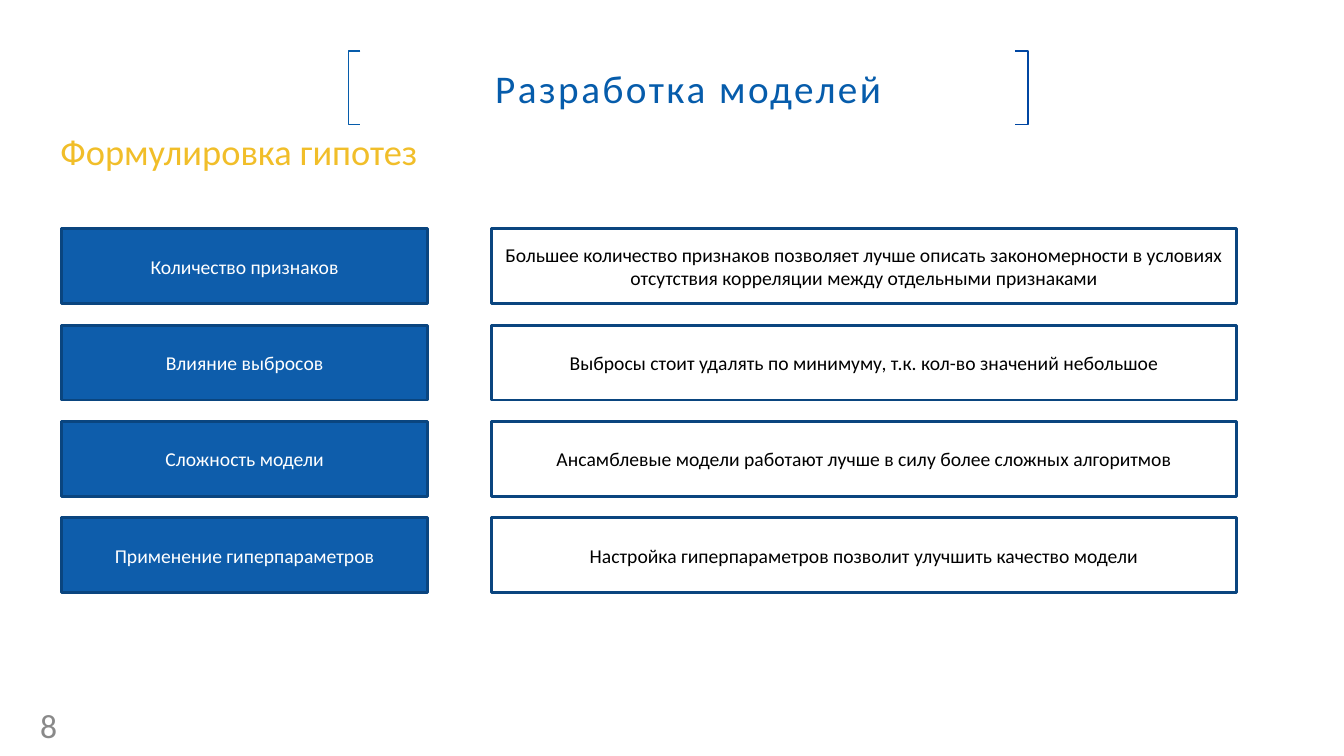
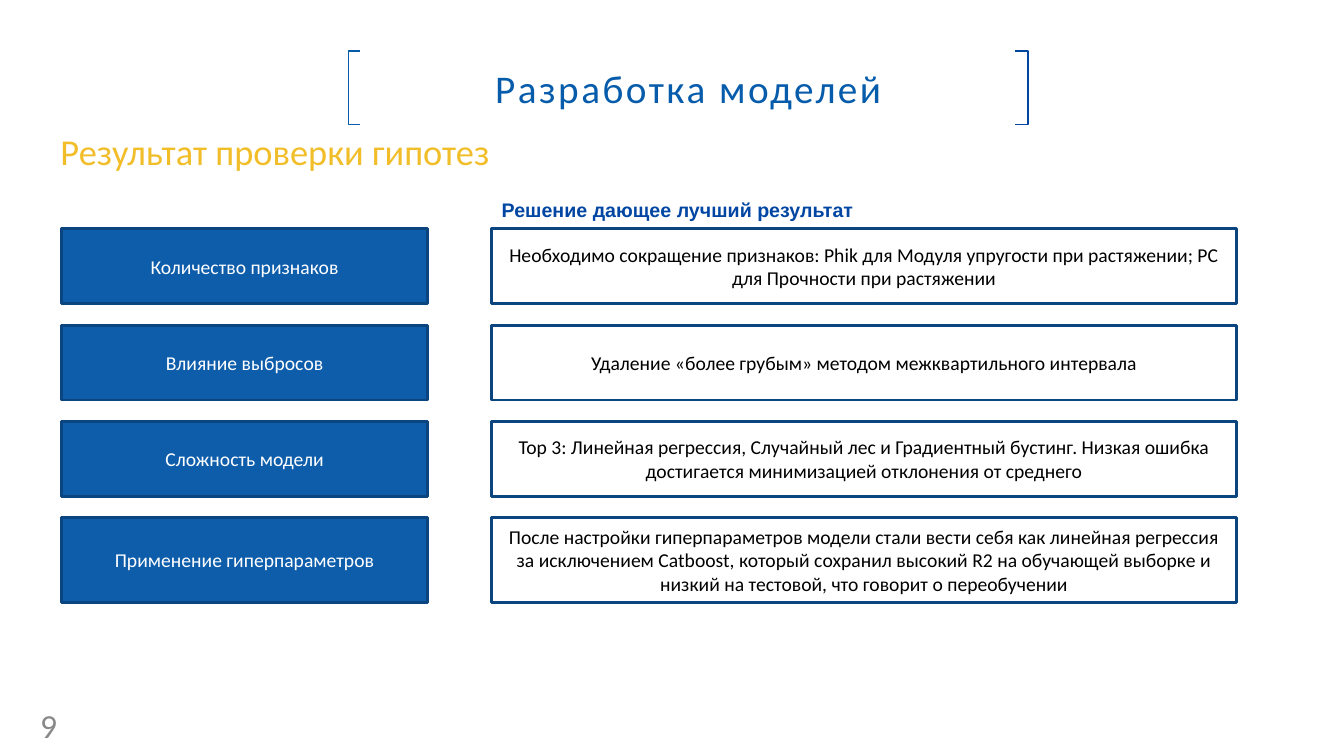
"""Build two slides on model development: hypotheses and their outcomes."""
from dataclasses import dataclass

from lxml import etree
from pptx import Presentation
from pptx import util as u
from pptx.dml.color import RGBColor
from pptx.enum import shapes, text
from pptx.oxml.ns import qn


@dataclass(frozen=True)
class Theme:
    """Colours, fonts and type sizes shared by the slides."""
    blue: str = "065CAB"
    deep_blue: str = "0046A2"
    card_fill: str = "0E5DAB"
    card_line: str = "0A457F"
    gold: str = "F1BE29"
    grey: str = "898989"
    white: str = "FFFFFF"
    black: str = "000000"
    font: str = "Calibri"
    label_font: str = "Arial"
    title_size: float = 28
    subtitle_size: float = 26
    number_size: float = 24
    card_size: float = 14


THEME = Theme()
TITLE = "Разработка моделей"
TITLE_BOX = (249, 36.5, 485.5, 52.5)
TOPICS = ("Количество признаков", "Влияние выбросов",
          "Сложность модели", "Применение гиперпараметров")
TOPIC_LEFT, TOPIC_WIDTH = 44, 261.5
FINDING_LEFT, FINDING_WIDTH = 351.3, 532
ROW_TOP, ROW_PITCH, ROW_HEIGHT, TALL_ROW = 163.4, 68.8, 53.5, 60.5

HYPOTHESES = (
    "Большее количество признаков позволяет лучше описать закономерности "
    "в условиях отсутствия корреляции между отдельными признаками",
    "Выбросы стоит удалять по минимуму, т.к. кол-во значений небольшое",
    "Ансамблевые модели работают лучше в силу более сложных алгоритмов",
    "Настройка гиперпараметров позволит улучшить качество модели",
)
OUTCOMES = (
    "Необходимо сокращение признаков: Phik для Модуля упругости при "
    "растяжении; РС для Прочности при растяжении",
    "Удаление «более грубым» методом межквартильного интервала",
    "Тор 3: Линейная регрессия, Случайный лес и Градиентный бустинг. "
    "Низкая ошибка достигается минимизацией отклонения от среднего",
    "После настройки гиперпараметров модели стали вести себя как линейная "
    "регрессия за исключением Catboost, который сохранил высокий R2 на "
    "обучающей выборке и низкий на тестовой, что говорит о переобучении",
)


def points(*values):
    """Convert numbers to lengths in points."""
    return [u.Pt(value) for value in values]


def colour(code):
    """Turn a hex code into a colour."""
    return RGBColor.from_string(code)


def place(holder, box):
    """Move a placeholder to a box given in points."""
    holder.left, holder.top, holder.width, holder.height = points(*box)


def write(holder, words, size, ink, font=THEME.font, bold=False,
          align=text.PP_ALIGN.LEFT, anchor=text.MSO_ANCHOR.MIDDLE, wrap=True):
    """Put one styled paragraph into a shape and return the paragraph."""
    frame = holder.text_frame
    frame.word_wrap = wrap
    frame.auto_size = text.MSO_AUTO_SIZE.NONE
    frame.vertical_anchor = anchor
    paragraph = frame.paragraphs[0]
    paragraph.text = words
    paragraph.alignment = align
    paragraph.space_before = u.Pt(0)
    paragraph.font.size = u.Pt(size)
    paragraph.font.name = font
    paragraph.font.bold = bold
    paragraph.font.color.rgb = colour(ink)
    return paragraph


def add_label(slide, box, words, size, ink, **style):
    """Add a free-standing line of text."""
    write(slide.shapes.add_textbox(*points(*box)), words, size, ink, **style)


def add_bracket(slide, tip, spine, ink):
    """Draw a square bracket as tall as the title."""
    top, bottom = TITLE_BOX[1], TITLE_BOX[1] + TITLE_BOX[3]
    outline = slide.shapes.build_freeform(*points(tip, top), scale=1.0)
    corners = [(spine, top), (spine, bottom), (tip, bottom)]
    outline.add_line_segments([points(*corner) for corner in corners], close=False)
    bracket = outline.convert_to_shape()
    bracket.shadow.inherit = False
    bracket.fill.background()
    bracket.line.color.rgb = colour(ink)
    bracket.line.width = u.Pt(1.3)


def add_title(slide):
    """Fill the title and frame it with brackets."""
    place(slide.shapes.title, TITLE_BOX)
    paragraph = write(slide.shapes.title, TITLE, THEME.title_size, THEME.blue,
                      align=text.PP_ALIGN.CENTER)
    paragraph.runs[0]._r.get_or_add_rPr().set("spc", "180")
    left, right = TITLE_BOX[0], TITLE_BOX[0] + TITLE_BOX[2]
    add_bracket(slide, left + 8.5, left, THEME.blue)
    add_bracket(slide, right - 9.5, right, THEME.deep_blue)


def add_subtitle(slide, words):
    """Fill the body placeholder with an indented line without a bullet."""
    subtitle = slide.placeholders[1]
    place(subtitle, (18, 92.2, 561, 47.5))
    properties = subtitle.text_frame.paragraphs[0]._p.get_or_add_pPr()
    properties.set("marL", str(u.Pt(36)))
    properties.set("indent", str(u.Pt(-18)))
    etree.SubElement(properties, qn("a:buNone"))
    paragraph = write(subtitle, words, THEME.subtitle_size, THEME.gold,
                      anchor=text.MSO_ANCHOR.TOP)
    paragraph.line_spacing = 0.9


def add_card(slide, box, words, ink, fill=None):
    """Add an outlined rectangle with centred text."""
    card = slide.shapes.add_shape(shapes.MSO_SHAPE.RECTANGLE, *points(*box))
    card.shadow.inherit = False
    if fill:
        card.fill.solid()
        card.fill.fore_color.rgb = colour(fill)
    else:
        card.fill.background()
    card.line.color.rgb = colour(THEME.card_line)
    card.line.width = u.Pt(2)
    write(card, words, THEME.card_size, ink, align=text.PP_ALIGN.CENTER)


def add_rows(slide, findings, last_height):
    """Pair every topic with its finding, row by row."""
    heights = [ROW_HEIGHT] * (len(TOPICS) - 1) + [last_height]
    for row, (topic, finding, height) in enumerate(zip(TOPICS, findings, heights)):
        top = ROW_TOP + row * ROW_PITCH
        add_card(slide, (TOPIC_LEFT, top, TOPIC_WIDTH, height), topic,
                 THEME.white, THEME.card_fill)
        add_card(slide, (FINDING_LEFT, top, FINDING_WIDTH, height), finding,
                 THEME.black)


def add_hypothesis_slide(deck, number, subtitle, findings, last_height=ROW_HEIGHT):
    """Add a slide with title, subtitle, rows and number."""
    slide = deck.slides.add_slide(deck.slide_layouts[1])
    add_title(slide)
    add_subtitle(slide, subtitle)
    add_rows(slide, findings, last_height)
    add_label(slide, (21.6, 507, 44.6, 21.6), str(number),
              THEME.number_size, THEME.grey)
    return slide


def main():
    """Build and save the presentation."""
    deck = Presentation()
    deck.slide_width, deck.slide_height = points(960, 540)
    add_hypothesis_slide(deck, 8, "Формулировка гипотез", HYPOTHESES)
    results = add_hypothesis_slide(deck, 9, "Результат проверки гипотез",
                                   OUTCOMES, TALL_ROW)
    add_label(results, (FINDING_LEFT, 137.5, 269.3, 24.5),
              "Решение дающее лучший результат", THEME.card_size,
              THEME.deep_blue, font=THEME.label_font, bold=True, wrap=False)
    deck.save("out.pptx")


if __name__ == "__main__":
    main()
